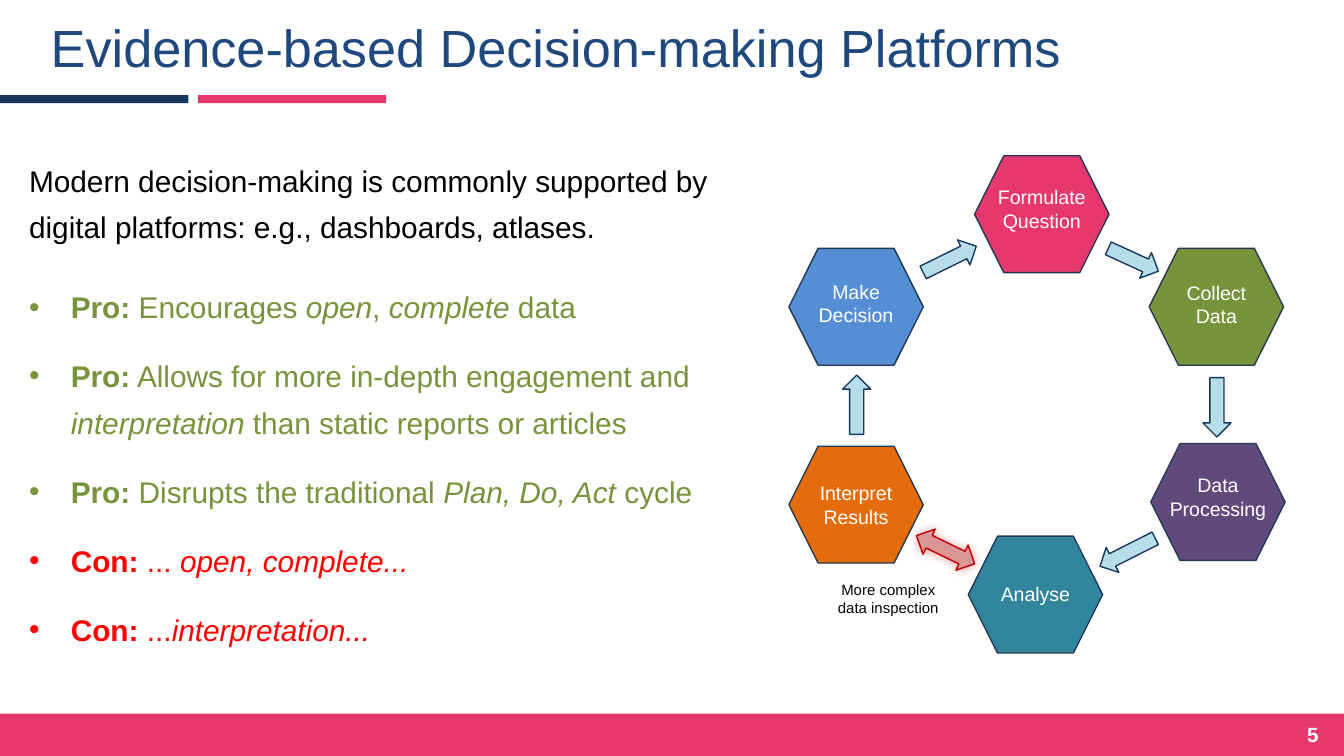
from dataclasses import dataclass

from lxml.etree import SubElement
from pptx import Presentation
from pptx.dml.color import RGBColor
from pptx.enum.shapes import MSO_SHAPE
from pptx.enum.text import MSO_ANCHOR, PP_ALIGN
from pptx.oxml.ns import qn
from pptx.util import Cm, Pt


@dataclass(frozen=True)
class Theme:
    font: str = "Arial"
    title: str = "1F497D"
    navy: str = "17375E"
    pink: str = "E6386E"
    black: str = "000000"
    white: str = "FFFFFF"
    pro: str = "77933C"
    con: str = "FF0000"
    outline: str = "233953"
    arrow: str = "B7DEE8"
    alert: str = "D99694"
    alert_line: str = "C00000"
    title_size: float = 28
    body_size: float = 16
    number_size: float = 11
    label_size: float = 10.5
    note_size: float = 8


THEME = Theme()

TITLE = "Evidence-based Decision-making Platforms"
INTRO = "Modern decision-making is commonly supported by digital platforms: e.g., dashboards, atlases."
POINTS = [
    (THEME.pro, 18, [("Pro: ", "b"), ("Encourages ", ""), ("open", "i"), (", ", ""),
                     ("complete", "i"), (" data", "")]),
    (THEME.pro, 12, [("Pro:", "b"), (" Allows for more in-depth engagement and ", ""),
                     ("interpretation", "i"), (" than static reports or articles", "")]),
    (THEME.pro, 12, [("Pro:", "b"), (" Disrupts the traditional ", ""),
                     ("Plan, Do, Act ", "i"), ("cycle", "")]),
    (THEME.con, 12, [("Con:", "b"), (" ...", ""), (" open, complete...", "i")]),
    (THEME.con, 12, [("Con: ", "b"), ("...", ""), ("interpretation...", "i")]),
]
NOTE = "More complex data inspection"
NUMBER = "5"

HEXAGON = (2.54, 2.21)
STAGES = [
    (["Analyse"], "31859C", (19.57, 11.24), 0),
    (["Interpret", "Results"], "E46C0A", (16.18, 9.54), 0),
    (["Make", "Decision"], "558ED5", (16.18, 5.8), 0.07),
    (["Formulate", "Question"], "E6376E", (19.69, 4.05), 0.1),
    (["Collect", "Data"], THEME.pro, (22.99, 5.8), 0.05),
    (["Data", "Processing"], "604A7B", (23.02, 9.49), 0.1),
]
ARROW_WIDTH = 0.53
ARROWS = [
    ((21.42, 4.91), 1.04, 294.6),
    ((23, 7.7), 1.12, 0),
    ((21.31, 10.44), 1.17, 63.2),
    ((16.19, 7.65), 1.12, 180),
    ((17.95, 4.9), 1.12, 243.7),
]
INSPECTION = ((17.87, 10.39), 1.22, 115.9)


def around(center, width, height):
    """Return the frame of the given size centred on a point."""
    return center[0] - width / 2, center[1] - height / 2, width, height


def add_figure(page, kind, frame, fill, line=None, rotation=0):
    """Add a flat preset shape."""
    figure = page.shapes.add_shape(kind, *map(Cm, frame))
    figure.shadow.inherit = False
    figure.rotation = rotation
    figure.fill.solid()
    figure.fill.fore_color.rgb = RGBColor.from_string(fill)
    if line:
        figure.line.color.rgb = RGBColor.from_string(line)
        figure.line.width = Pt(0.75)
    else:
        figure.line.fill.background()
    return figure


def add_glow(figure, color):
    """Add a soft centred shadow."""
    effects = figure._element.spPr.find(qn("a:effectLst"))
    shadow = SubElement(effects, qn("a:outerShdw"), blurRad=str(Pt(5)), dist="0", dir="0",
                        algn="ctr", rotWithShape="0")
    tint = SubElement(shadow, qn("a:srgbClr"), val=color)
    SubElement(tint, qn("a:alpha"), val="40000")


def add_box(page, frame, wrap=True, anchor=MSO_ANCHOR.TOP):
    """Add an empty text box and return its text frame."""
    box = page.shapes.add_textbox(*map(Cm, frame)).text_frame
    box.word_wrap = wrap
    box.vertical_anchor = anchor
    return box


def write(box, text, *, size, color, bold=False, align=PP_ALIGN.LEFT, spacing=None,
          before=None, bullet=False):
    """Write a paragraph from a string or a list of styled spans."""
    first = box.paragraphs[0]
    para = box.add_paragraph() if first.runs else first
    para.alignment = align
    if spacing:
        para.line_spacing = spacing
    if before:
        para.space_before = Pt(before)
    if bullet:
        properties = para._p.get_or_add_pPr()
        properties.set("marL", str(Cm(0.79)))
        properties.set("indent", str(-Cm(0.79)))
        SubElement(properties, qn("a:buFont"), typeface=THEME.font)
        SubElement(properties, qn("a:buChar"), char="•")
    spans = [(text, "b" if bold else "")] if isinstance(text, str) else text
    for words, style in spans:
        span = para.add_run()
        span.text = words
        span.font.name = THEME.font
        span.font.size = Pt(size)
        span.font.color.rgb = RGBColor.from_string(color)
        span.font.bold = "b" in style
        span.font.italic = "i" in style


def add_cycle(page):
    """Draw the decision cycle."""
    center, length, rotation = INSPECTION
    inspection = add_figure(page, MSO_SHAPE.UP_DOWN_ARROW, around(center, ARROW_WIDTH, length),
                            THEME.alert, THEME.alert_line, rotation)
    add_glow(inspection, THEME.alert_line)
    for label, fill, center, lift in STAGES:
        add_figure(page, MSO_SHAPE.HEXAGON, around(center, *HEXAGON), fill, THEME.outline)
    for center, length, rotation in ARROWS:
        add_figure(page, MSO_SHAPE.DOWN_ARROW, around(center, ARROW_WIDTH, length),
                   THEME.arrow, THEME.navy, rotation)
    for label, fill, (x, y), lift in STAGES:
        height = 0.28 + 0.43 * len(label)
        box = add_box(page, around((x, y - lift), HEXAGON[0], height), wrap=False)
        for line in label:
            write(box, line, size=THEME.label_size, color=THEME.white, align=PP_ALIGN.CENTER)
    write(add_box(page, (15.42, 10.85, 2.74, 0.94)), NOTE, size=THEME.note_size,
          color=THEME.black, align=PP_ALIGN.CENTER)


def main():
    """Build and save the slide."""
    deck = Presentation()
    deck.slide_width, deck.slide_height = Cm(25.4), Cm(14.29)
    page = deck.slides.add_slide(deck.slide_layouts[6])
    for left, color in ((0, THEME.navy), (3.74, THEME.pink)):
        add_figure(page, MSO_SHAPE.RECTANGLE, (left, 1.8, 3.56, 0.15), color)
    add_figure(page, MSO_SHAPE.RECTANGLE, (0, 13.49, 25.4, 0.8), THEME.pink)
    write(add_box(page, (23.7, 13.49, 1.47, 0.8), anchor=MSO_ANCHOR.MIDDLE), NUMBER,
          size=THEME.number_size, color=THEME.white, bold=True, align=PP_ALIGN.RIGHT)
    write(add_box(page, (0.71, 0.05, 22.4, 1.8), anchor=MSO_ANCHOR.MIDDLE), TITLE,
          size=THEME.title_size, color=THEME.title, spacing=0.9)
    body = add_box(page, (0.3, 2.74, 14.5, 9.8))
    write(body, INTRO, size=THEME.body_size, color=THEME.black, spacing=1.3)
    for color, before, spans in POINTS:
        write(body, spans, size=THEME.body_size, color=color, spacing=1.3, before=before,
              bullet=True)
    add_cycle(page)
    deck.save("out.pptx")


if __name__ == "__main__":
    main()
